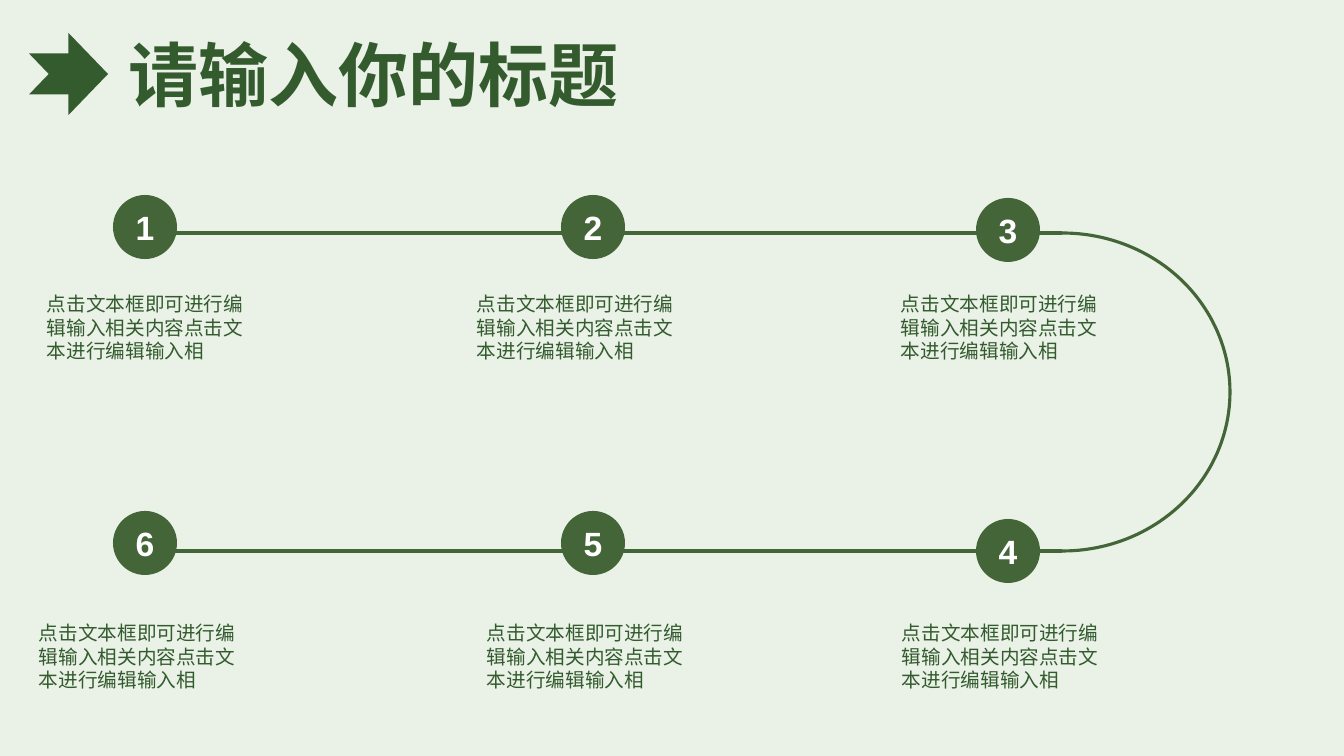
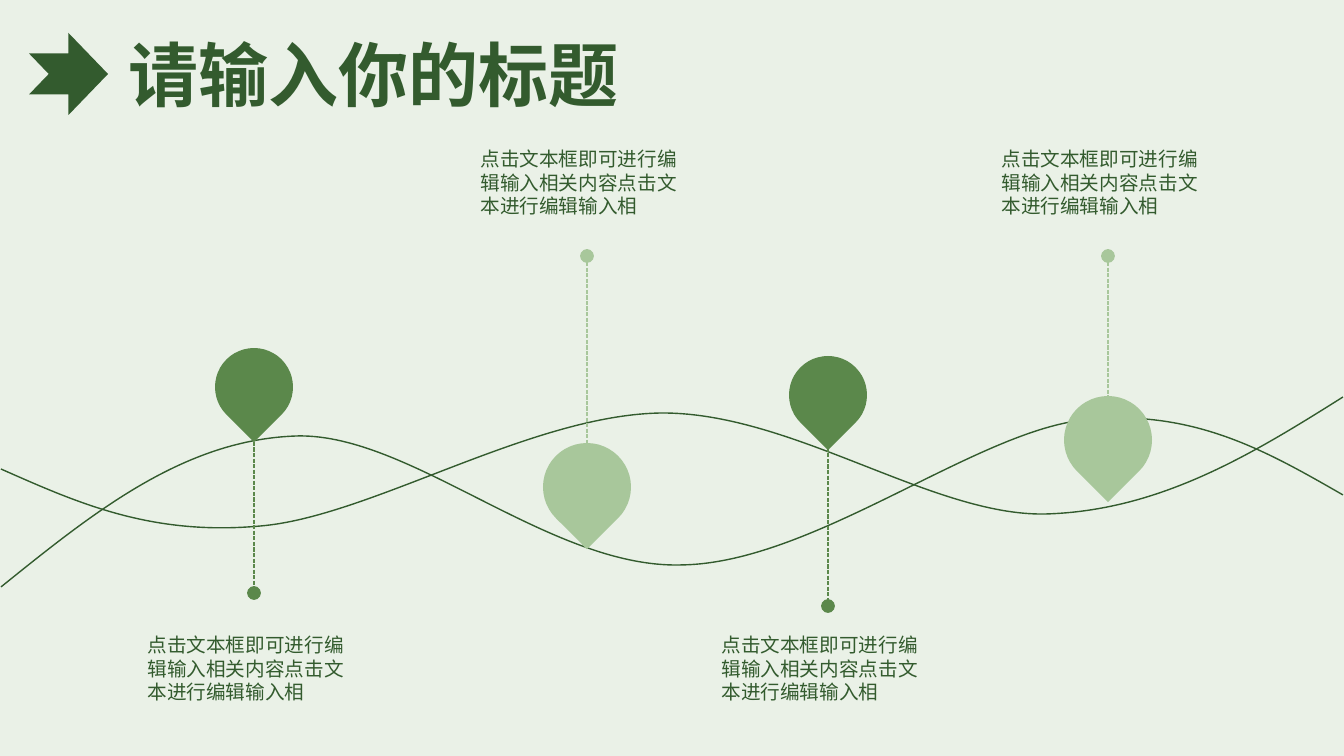
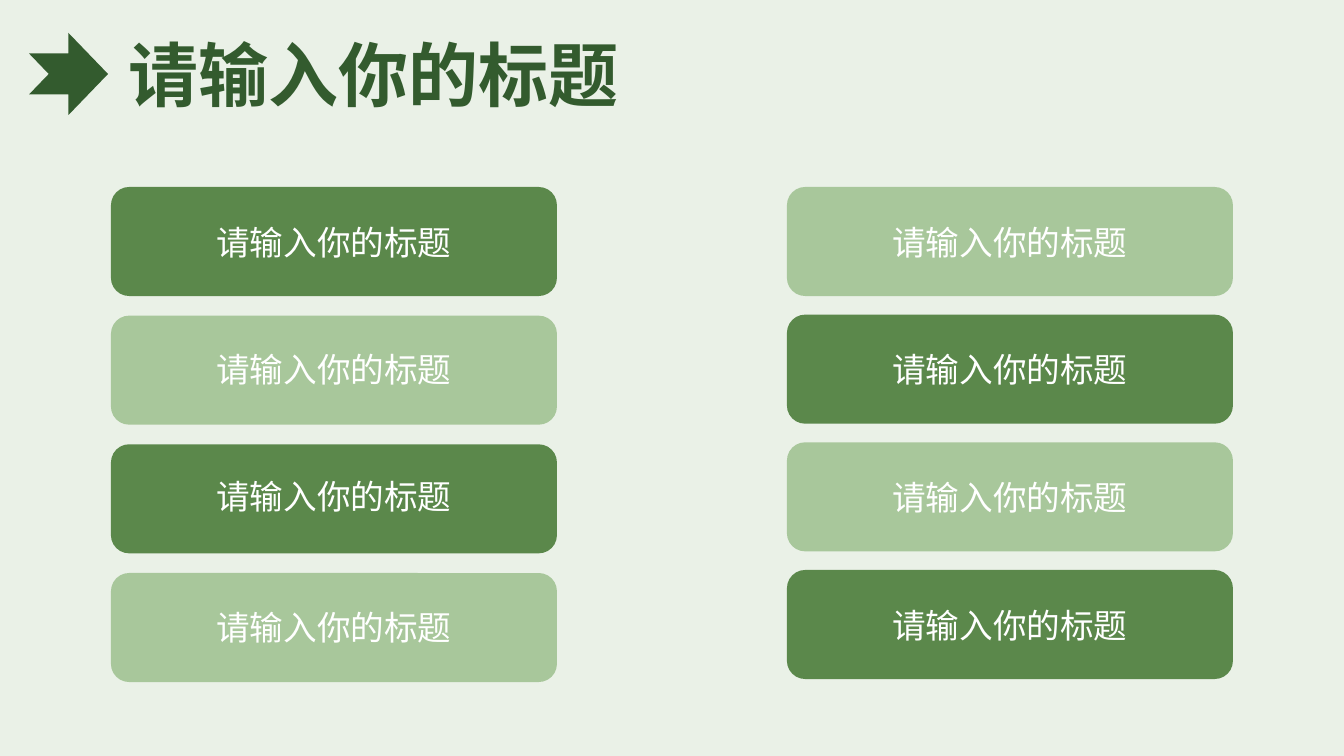
import collections

import lxml.etree
import pptx
import pptx.dml.color
import pptx.enum.dml
import pptx.enum.shapes
import pptx.enum.text
import pptx.oxml.ns
import pptx.util

PX = 12192000 / 1344
SLIDE_WIDTH, SLIDE_HEIGHT = 1344, 756
COLORS = {
    "tint": "A8C79B",
    "leaf": "5B884B",
    "moss": "436538",
    "forest": "335B2E",
    "white": "FFFFFF",
}
LATIN, CJK = "Arial", "Noto Sans CJK SC"
TITLE = "请输入你的标题"
NOTE = "点击文本框即可进行编辑输入相关内容点击文本进行编辑输入相"
NOTE_WIDTH, NOTE_HEIGHT = 233, 82
LINE_HEIGHT = 1.2

SHAPE = pptx.enum.shapes.MSO_SHAPE
ALIGN = pptx.enum.text.PP_ALIGN

Box = collections.namedtuple("Box", "left top width height")
Step = collections.namedtuple("Step", "number left top note_left note_top")
Marker = collections.namedtuple("Marker", "center top size color stem_y dot_y note_top")

STEPS = [
    Step("1", 113, 195, 37, 287),
    Step("2", 561, 195, 467, 287),
    Step("3", 976, 198, 891, 287),
    Step("6", 113, 511, 29, 616),
    Step("5", 561, 511, 477, 616),
    Step("4", 976, 519, 892, 616),
]
MARKERS = [
    Marker(254, 348, 78, "leaf", 403, 593, 628),
    Marker(587, 443, 88, "tint", 485, 256, 142),
    Marker(828, 356, 78, "leaf", 370, 606, 628),
    Marker(1108, 396, 88, "tint", 396, 256, 142),
]
WAVES = [
    [(1, 587), (93, 513), (184, 439), (298, 436), (412, 434), (551, 569), (682, 565),
     (813, 563), (974, 432), (1084, 420), (1193, 408), (1268, 452), (1343, 495)],
    [(1343, 397), (1251, 455), (1159, 511), (1045, 514), (932, 516), (792, 412), (661, 413),
     (530, 415), (370, 517), (260, 526), (150, 536), (76, 502), (1, 469)],
]


def emu(px):
    return pptx.util.Emu(round(px * PX))


def rgb(color):
    return pptx.dml.color.RGBColor.from_string(COLORS[color])


def add_element(parent, tag, **attributes):
    element = lxml.etree.SubElement(parent, pptx.oxml.ns.qn(tag))
    for key, value in attributes.items():
        element.set(key, value)
    return element


def write(frame, text, size, color, align, latin=LATIN, bold=False):
    frame.word_wrap = True
    frame.text = text
    paragraph = frame.paragraphs[0]
    paragraph.alignment = align
    run = paragraph.runs[0]
    run.font.size = pptx.util.Pt(size)
    run.font.bold = bold
    run.font.color.rgb = rgb(color)
    run.font.name = latin
    if not text.isdigit():
        paragraph.line_spacing = pptx.util.Pt(size * LINE_HEIGHT)
        add_element(run.font._element, "a:ea", typeface=CJK)


def add_text(slide, box, *style, **options):
    frame = slide.shapes.add_textbox(*map(emu, box)).text_frame
    write(frame, *style, **options)
    frame.auto_size = pptx.enum.text.MSO_AUTO_SIZE.SHAPE_TO_FIT_TEXT


def add_note(slide, left, top):
    add_text(slide, Box(left, top, NOTE_WIDTH, NOTE_HEIGHT),
             NOTE, 14, "forest", ALIGN.LEFT, latin=CJK)


def add_filled(slide, preset, box, color):
    shape = slide.shapes.add_shape(preset, *map(emu, box))
    shape.shadow.inherit = False
    shape.fill.solid()
    shape.fill.fore_color.rgb = rgb(color)
    shape.line.fill.background()
    return shape


def style_line(line, color, width):
    line.color.rgb = rgb(color)
    line.width = pptx.util.Pt(width)


def add_line(slide, start, end, color, width):
    connector = slide.shapes.add_connector(
        pptx.enum.shapes.MSO_CONNECTOR.STRAIGHT, *map(emu, start + end))
    style_line(connector.line, color, width)
    add_element(connector._element.spPr, "a:effectLst")
    return connector


def add_titled_slide(deck):
    """Add a slide with the tinted backdrop, the title and the arrow."""
    slide = deck.slides.add_slide(deck.slide_layouts[6])
    backdrop = add_filled(slide, SHAPE.RECTANGLE, Box(0, 0, SLIDE_WIDTH, SLIDE_HEIGHT), "tint")
    tint = backdrop._element.spPr.find(".//" + pptx.oxml.ns.qn("a:srgbClr"))
    add_element(tint, "a:alpha", val="24000")
    add_text(slide, Box(119, 27, 573, 95), TITLE, 50, "forest", ALIGN.JUSTIFY, bold=True)
    add_filled(slide, SHAPE.NOTCHED_RIGHT_ARROW, Box(29, 33, 79, 82), "forest")
    return slide


def add_track(slide, box):
    """Draw two parallel lines joined by a half ellipse on the right."""
    bend_width = 335
    right = box.left + box.width
    bend_start = right - bend_width / 2
    for y in (box.top, box.top + box.height):
        add_line(slide, (box.left, y), (bend_start, y), "moss", 2.25)
    bend = slide.shapes.add_shape(
        SHAPE.ARC, *map(emu, (right - bend_width, box.top, bend_width, box.height)))
    bend.adjustments[0] = 161.62
    bend.adjustments[1] = 54.1
    bend.shadow.inherit = False
    bend.fill.background()
    style_line(bend.line, "moss", 2.25)


def add_step(slide, step):
    badge = add_filled(slide, SHAPE.OVAL, Box(step.left, step.top, 64, 64), "moss")
    badge.text_frame.vertical_anchor = pptx.enum.text.MSO_ANCHOR.MIDDLE
    write(badge.text_frame, step.number, 24, "white", ALIGN.CENTER, bold=True)


def add_wave(slide, controls):
    """Draw a chain of cubic curves; every third control is a point on the wave."""
    points = [(emu(x), emu(y)) for x, y in controls]
    builder = slide.shapes.build_freeform(*points[0], scale=1.0)
    builder.add_line_segments(points[3::3], close=False)
    wave = builder.convert_to_shape()
    outline = wave._element.spPr.find(".//" + pptx.oxml.ns.qn("a:path"))
    chords = outline.findall(pptx.oxml.ns.qn("a:lnTo"))
    for index, chord in enumerate(chords):
        curve = add_element(outline, "a:cubicBezTo")
        for x, y in points[3 * index + 1:3 * index + 4]:
            add_element(curve, "a:pt", x=str(x - wave.left), y=str(y - wave.top))
        outline.replace(chord, curve)
    wave.shadow.inherit = False
    wave.fill.background()
    style_line(wave.line, "forest", 1)


def add_drop(slide, marker):
    drop = add_filled(slide, SHAPE.TEAR,
                      Box(marker.center - marker.size / 2, marker.top, marker.size, marker.size),
                      marker.color)
    drop.rotation = 135


def add_stem(slide, marker):
    """Draw a dashed line, top to bottom, with a dot at its outer end."""
    top, bottom = sorted((marker.stem_y, marker.dot_y))
    stem = add_line(slide, (marker.center, top), (marker.center, bottom), marker.color, 1)
    stem.line.dash_style = pptx.enum.dml.MSO_LINE.SQUARE_DOT
    dot_end = "a:headEnd" if marker.dot_y == top else "a:tailEnd"
    add_element(stem.line._get_or_add_ln(), dot_end, type="oval", w="lg", len="lg")


def add_card_column(slide, box, colors, label_tops):
    """Spread cards evenly over the box, alternating two colours, and label them."""
    card_height, label_width, label_height = 109, 272, 50
    pitch = (box.height - card_height) / (len(label_tops) - 1)
    label_left = box.left + (box.width - label_width) / 2
    for row, label_top in enumerate(label_tops):
        add_filled(slide, SHAPE.ROUNDED_RECTANGLE,
                   Box(box.left, box.top + row * pitch, box.width, card_height),
                   colors[row % 2])
        add_text(slide, Box(label_left, label_top, label_width, label_height),
                 TITLE, 24, "white", ALIGN.CENTER)


def build_steps_slide(deck):
    slide = add_titled_slide(deck)
    add_track(slide, Box(135, 233, 1095, 318))
    for step in STEPS:
        add_step(slide, step)
    for step in STEPS:
        add_note(slide, step.note_left, step.note_top)


def build_waves_slide(deck):
    slide = add_titled_slide(deck)
    for controls in WAVES:
        add_wave(slide, controls)
    for marker in MARKERS:
        add_drop(slide, marker)
    for marker in MARKERS:
        add_stem(slide, marker)
    for marker in MARKERS:
        add_note(slide, marker.center - NOTE_WIDTH / 2, marker.note_top)


def build_cards_slide(deck):
    slide = add_titled_slide(deck)
    add_card_column(slide, Box(111, 187, 446, 495), ("leaf", "tint"), (217, 344, 471, 602))
    add_card_column(slide, Box(787, 187, 446, 492), ("tint", "leaf"), (217, 344, 472, 600))


def main():
    deck = pptx.Presentation()
    deck.slide_width = emu(SLIDE_WIDTH)
    deck.slide_height = emu(SLIDE_HEIGHT)
    build_steps_slide(deck)
    build_waves_slide(deck)
    build_cards_slide(deck)
    deck.save("out.pptx")


if __name__ == "__main__":
    main()
